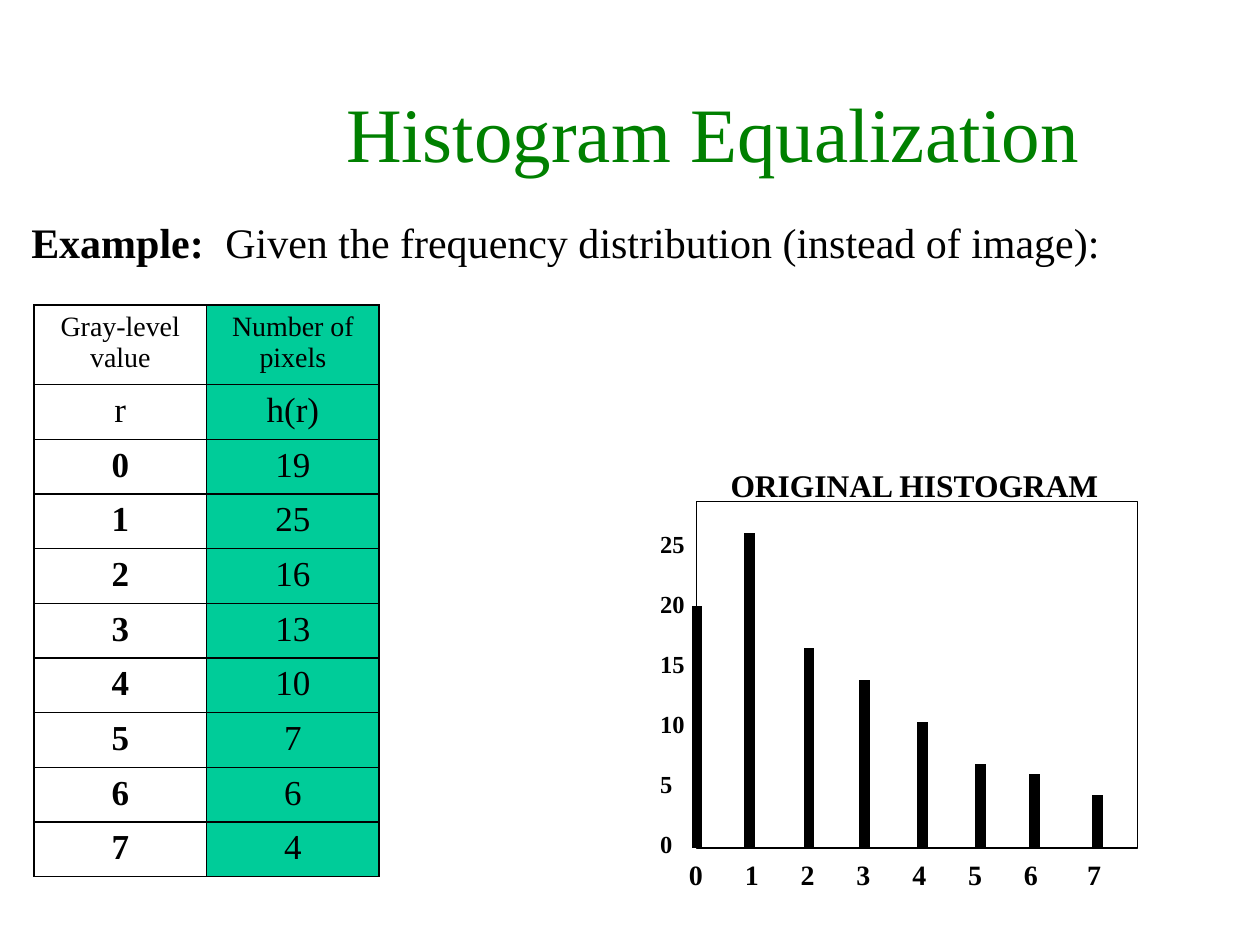
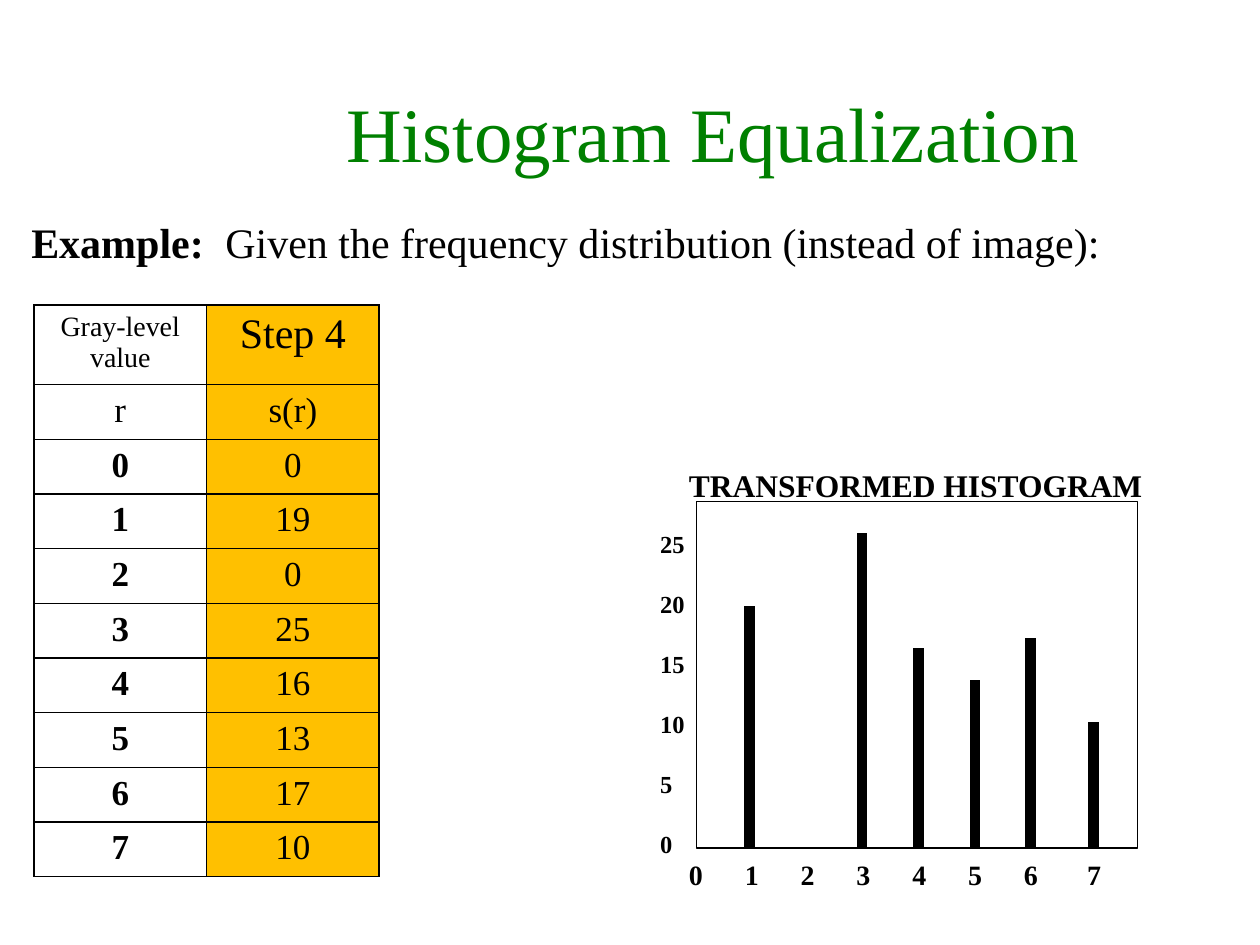
from dataclasses import dataclass

from lxml.etree import SubElement as Sub
from pptx import Presentation
from pptx.dml.color import RGBColor as Rgb
from pptx.enum.shapes import MSO_CONNECTOR as Conn, MSO_SHAPE as Shape
from pptx.enum.text import PP_ALIGN as Align
from pptx.oxml.ns import qn
from pptx.util import Inches, Pt


@dataclass(frozen=True)
class Theme:
    font: str = "Times New Roman"
    ink: Rgb = Rgb(0, 0, 0)
    title: Rgb = Rgb(0x00, 0x80, 0x00)
    green: Rgb = Rgb(0x00, 0xCC, 0x99)
    gold: Rgb = Rgb(0xFF, 0xC0, 0x00)
    title_size: int = 44
    lead_size: int = 24
    cell_size: int = 20
    plot_size: int = 18
    small_size: int = 16
    tick_size: int = 14


THEME = Theme()
PLOT_X, PLOT_Y, PLOT_W, PLOT_H = 5.53, 3.98, 3.5, 2.75
BASE = PLOT_Y + PLOT_H
LEVELS = range(8)


def style(run, size, color=THEME.ink, bold=False):
    font = run.font
    font.name, font.size, font.bold = THEME.font, Pt(size), bold
    font.color.rgb = color


def add_text(slide, box, text, size, color=THEME.ink, bold=False, align=Align.LEFT, wrap=True):
    frame = slide.shapes.add_textbox(*map(Inches, box)).text_frame
    frame.word_wrap = wrap
    frame.text = text
    for para in frame.paragraphs:
        para.alignment = align
        for run in para.runs:
            style(run, size, color, bold)
    return frame


def set_tabs(para, stops):
    tabs = Sub(para._p.get_or_add_pPr(), qn("a:tabLst"))
    for stop in stops:
        Sub(tabs, qn("a:tab"), pos=str(Inches(stop)), algn="l")


def add_head(slide):
    add_text(slide, (1.43, 0.63, 8.46, 0.83), "Histogram Equalization",
             THEME.title_size, THEME.title, align=Align.CENTER)
    lead = add_text(slide, (0.15, 1.67, 9.46, 0.5), "Example:", THEME.lead_size, bold=True)
    para = lead.paragraphs[0]
    set_tabs(para, [1.54])
    run = para.add_run()
    run.text = "\tGiven the frequency distribution (instead of image):"
    style(run, THEME.lead_size)


def add_edges(cell):
    """Draw a thin line on all four sides of the cell."""
    props = cell._tc.get_or_add_tcPr()
    for i, side in enumerate(("lnL", "lnR", "lnT", "lnB")):
        line = props.makeelement(qn(f"a:{side}"), {"w": str(Pt(1))})
        Sub(Sub(line, qn("a:solidFill")), qn("a:srgbClr"), val=str(THEME.ink))
        props.insert(i, line)


def fill_cell(cell, text, size, bold, color):
    cell.text = text
    para = cell.text_frame.paragraphs[0]
    para.alignment = Align.CENTER
    style(para.runs[0], size, bold=bold)
    if color is None:
        cell.fill.background()
    else:
        cell.fill.solid()
        cell.fill.fore_color.rgb = color
    add_edges(cell)


def add_grid(slide, head, symbol, counts, color, head_size):
    rows = [("Gray-level value", head), ("r", symbol)]
    rows += [(str(level), str(count)) for level, count in zip(LEVELS, counts)]
    grid = slide.shapes.add_table(
        len(rows), 2, *map(Inches, (0.27, 2.42, 2.74, 4.53))).table
    for i, (level, count) in enumerate(rows):
        grid.rows[i].height = Inches(0.63 if i == 0 else 3.9 / 9)
        left, right = (THEME.small_size, head_size) if i == 0 else (THEME.cell_size,) * 2
        fill_cell(grid.cell(i, 0), level, left, i > 1, None)
        fill_cell(grid.cell(i, 1), count, right, False, color)


def add_bar(slide, x, count):
    """Draw one bar at a tenth of an inch per pixel, snapped to twelfths."""
    top = BASE - round(count * 1.2) / 12
    bar = slide.shapes.add_connector(Conn.STRAIGHT, *map(Inches, (x, BASE, x, top)))
    bar.line.color.rgb = THEME.ink
    bar.line.width = Pt(6)
    Sub(bar._element.spPr, qn("a:effectLst"))


def add_plot(slide, title, title_x, title_w, centers, counts):
    frame = slide.shapes.add_shape(
        Shape.RECTANGLE, *map(Inches, (PLOT_X, PLOT_Y, PLOT_W, PLOT_H)))
    frame.shadow.inherit = False
    frame.fill.background()
    frame.line.color.rgb = THEME.ink
    frame.line.width = Pt(0.75)
    for x, count in zip(centers, counts):
        if count:
            add_bar(slide, x, count)
    axis = add_text(slide, (5.37, 6.76, 4.33, 0.34), "\t".join(map(str, LEVELS)),
                    THEME.small_size, bold=True)
    set_tabs(axis.paragraphs[0], [0.443 * i for i in LEVELS[1:-1]] + [3.16])
    ticks = add_text(slide, (5.14, 4.15, 0.5, 2.69),
                     "\n".join(map(str, range(25, -1, -5))), THEME.tick_size, bold=True)
    for para in ticks.paragraphs[1:]:
        para.space_before = Pt(17.5)
    add_text(slide, (title_x, 3.65, title_w, 0.4), title,
             THEME.plot_size, bold=True, wrap=False)


def main():
    deck = Presentation()
    deck.slide_width, deck.slide_height = Inches(10), Inches(7.5)
    blank = deck.slide_layouts[6]

    first = deck.slides.add_slide(blank)
    counts = [19, 25, 16, 13, 10, 7, 6, 4]
    centers = [5.53, 5.95, 6.42, 6.86, 7.32, 7.78, 8.21, 8.71]
    add_head(first)
    add_grid(first, "Number of pixels", "h(r)", counts, THEME.green, THEME.small_size)
    add_plot(first, "ORIGINAL HISTOGRAM", 5.7, 3.14, centers, counts)

    second = deck.slides.add_slide(blank)
    counts = [0, 19, 0, 25, 16, 13, 17, 10]
    centers = [5.53, 5.95, 6.4, 6.84, 7.29, 7.74, 8.18, 8.68]
    add_head(second)
    add_grid(second, "Step 4", "s(r)", counts, THEME.gold, THEME.lead_size)
    add_plot(second, "TRANSFORMED HISTOGRAM", 5.37, 3.84, centers, counts)

    deck.save("out.pptx")


if __name__ == "__main__":
    main()
